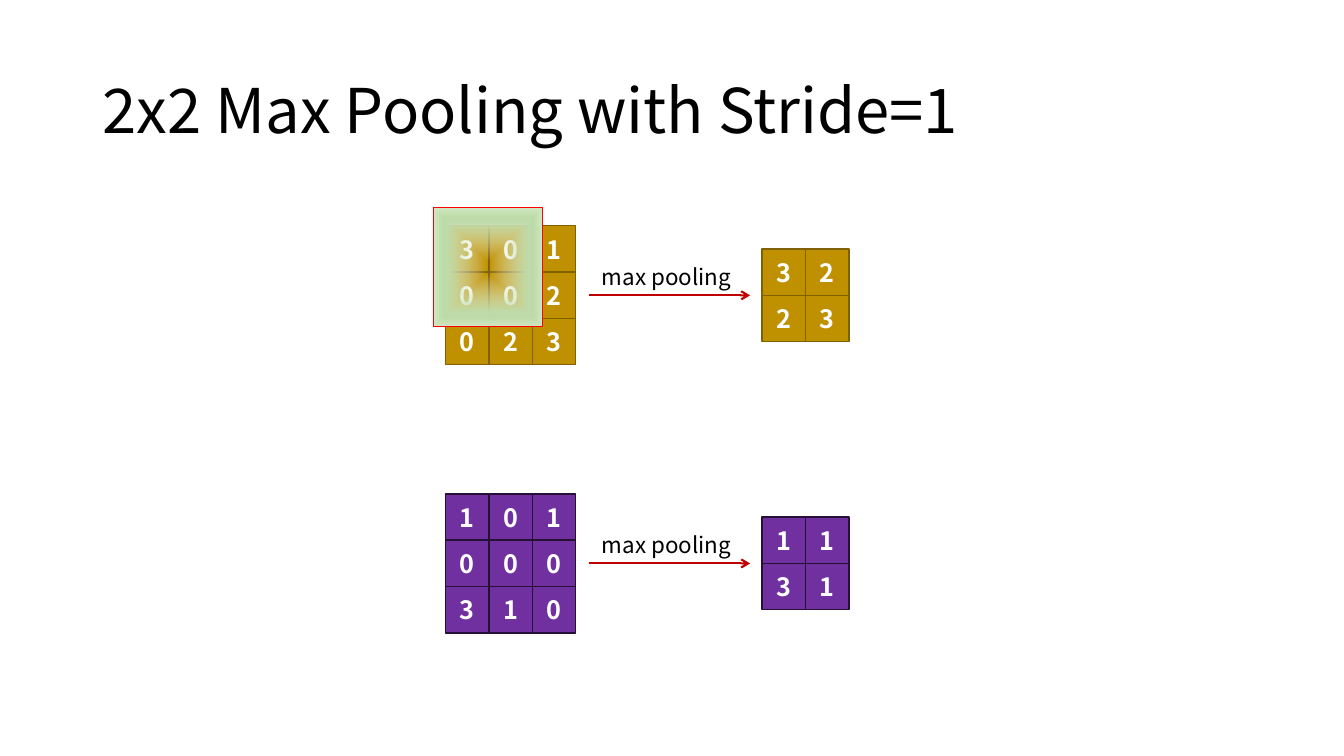
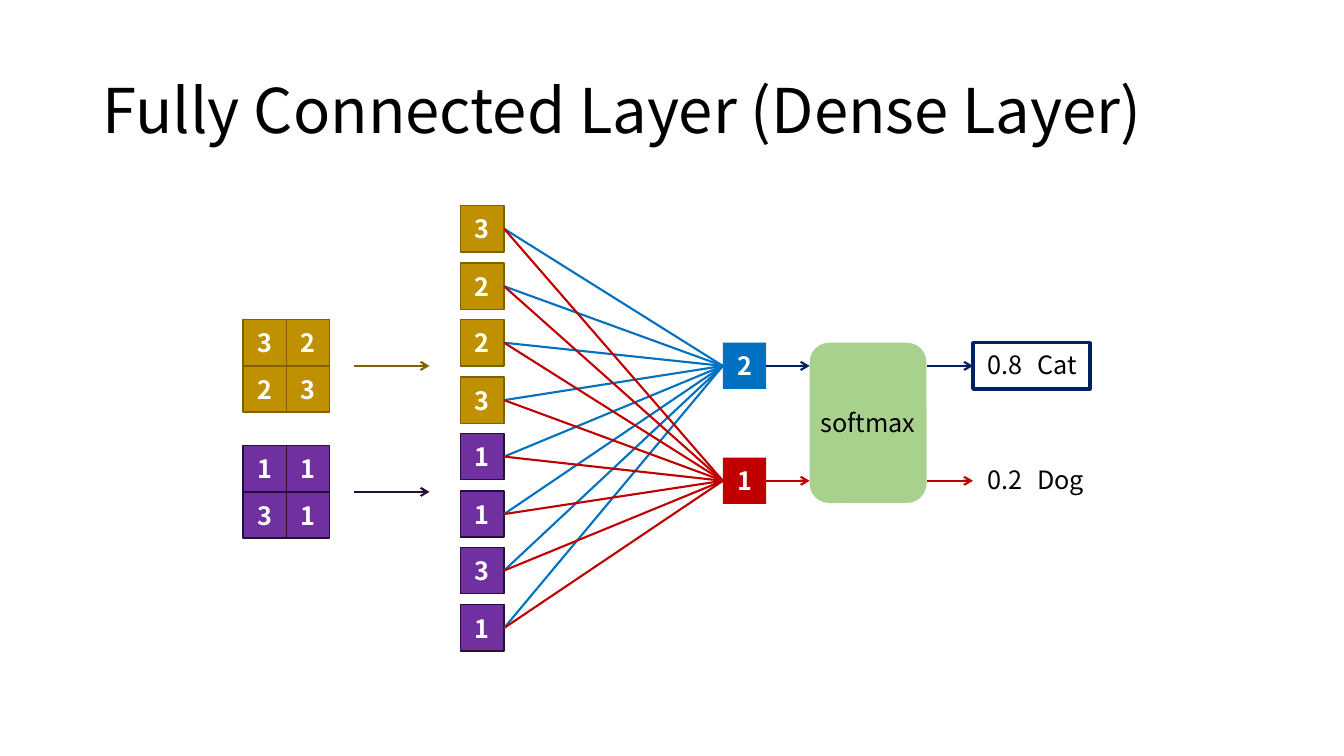
from lxml import etree
from pptx import Presentation, util as u
from pptx.dml.color import RGBColor
from pptx.enum import shapes, text
from pptx.oxml import parse_xml
from pptx.oxml.ns import qn

# Shared look: 100 px to the inch
SCALE = 9144
FONT = "Noto Sans CJK KR"
BLACK, WHITE, RED, BLUE, NAVY = "000000", "FFFFFF", "C00000", "0070C0", "002060"
GOLD = ("BF9000", "806000")
VIOLET = ("7030A0", "261036")
CELL_W, CELL_H = 43, 46
GOLD_OUT = ("32", "23")
VIOLET_OUT = ("11", "31")
RECT, ROUND = shapes.MSO_SHAPE.RECTANGLE, shapes.MSO_SHAPE.ROUNDED_RECTANGLE
LEFT, CENTER = text.PP_ALIGN.LEFT, text.PP_ALIGN.CENTER
TOP, MIDDLE = text.MSO_ANCHOR.TOP, text.MSO_ANCHOR.MIDDLE
GROW, FIXED = text.MSO_AUTO_SIZE.SHAPE_TO_FIT_TEXT, text.MSO_AUTO_SIZE.NONE
# Sides of a rectangle that a connector can hold on to
SIDE_LEFT, SIDE_RIGHT = 1, 3

# Stops of the pooling window: position, colour, opacity in percent
STOPS = ((0, "F9FCF7", 0), (74, "BEDCAA", 100), (83, "BEDCAA", 100), (100, "D4E8C6", 100))


def px(*vals):
    return [u.Emu(v * SCALE) for v in vals]


def color(code):
    return RGBColor.from_string(code)


def put(obj, **vals):
    for name, val in vals.items():
        setattr(obj, name, val)


def write(shape, words, size=18, ink=BLACK, bold=False, align=CENTER, space=None, **frame):
    put(shape.text_frame, **frame)
    para = shape.text_frame.paragraphs[0]
    put(para, alignment=align, line_spacing=space)
    run = para.add_run()
    run.text = words
    put(run.font, name=FONT, size=u.Pt(size), bold=bold)
    run.font.color.rgb = color(ink)


def label(slide, box, words, grow=True, anchor=TOP, **style):
    shape = slide.shapes.add_textbox(*px(*box))
    write(shape, words, word_wrap=True, vertical_anchor=anchor,
          auto_size=GROW if grow else FIXED, **style)


def block(slide, box, fill=None, line=None, width=1, kind=RECT):
    shape = slide.shapes.add_shape(kind, *px(*box))
    shape.shadow.inherit = False
    if fill:
        shape.fill.solid()
        shape.fill.fore_color.rgb = color(fill)
    else:
        shape.fill.background()
    if line:
        shape.line.color.rgb = color(line)
        shape.line.width = u.Pt(width)
    else:
        shape.line.fill.background()
    return shape


def cell(slide, x, y, digit, fill, line=None):
    shape = block(slide, (x, y, CELL_W, CELL_H), fill, line)
    write(shape, digit, ink=WHITE, bold=True, word_wrap=False, vertical_anchor=MIDDLE)
    return shape


def grid(slide, x, y, rows, tint):
    for r, row in enumerate(rows):
        for c, digit in enumerate(row):
            cell(slide, x + c * CELL_W, y + r * CELL_H, digit, *tint)


def stroke(slide, ends, ink):
    line = slide.shapes.add_connector(shapes.MSO_CONNECTOR.STRAIGHT, *px(*ends))
    line.line.color.rgb = color(ink)
    line.line.width = u.Pt(1.5)
    etree.SubElement(line._element.spPr, qn("a:effectLst"))
    return line


def arrow(slide, x1, x2, y, ink):
    line = stroke(slide, (x1, y, x2, y), ink)
    etree.SubElement(line.line._get_or_add_ln(), qn("a:tailEnd"), type="arrow")


def link(slide, start, end, ink):
    line = stroke(slide, (0, 0, 0, 0), ink)
    line.begin_connect(start, SIDE_RIGHT)
    line.end_connect(end, SIDE_LEFT)


def window(slide, box):
    """Pooling window that fades to clear at its centre."""
    shape = block(slide, box, line="FF0000")
    stops = "".join(
        f'<a:gs pos="{pos * 1000}"><a:srgbClr val="{code}">'
        f'<a:alpha val="{alpha * 1000}"/></a:srgbClr></a:gs>'
        for pos, code, alpha in STOPS)
    grad = parse_xml(
        '<a:gradFill xmlns:a="http://schemas.openxmlformats.org/drawingml/2006/main">'
        f'<a:gsLst>{stops}</a:gsLst><a:path path="shape">'
        '<a:fillToRect l="50000" t="50000" r="50000" b="50000"/></a:path></a:gradFill>')
    props = shape._element.spPr
    props.replace(props.find(qn("a:noFill")), grad)


def page(deck, title):
    slide = deck.slides.add_slide(deck.slide_layouts[6])
    label(slide, (92, 40, 1150, 145), title, grow=False, anchor=MIDDLE,
          size=44, align=LEFT, space=0.9)
    return slide


def pooling(deck):
    slide = page(deck, "2x2 Max Pooling with Stride=1")
    maps = ((224, ("301", "002", "023"), GOLD_OUT, GOLD),
            (490, ("101", "000", "310"), VIOLET_OUT, VIOLET))
    for y, source, pooled, tint in maps:
        mid = y + 3 * CELL_H // 2
        grid(slide, 442, y, source, tint)
        grid(slide, 756, mid - CELL_H, pooled, tint)
        arrow(slide, 584, 744, mid, RED)
        label(slide, (578, mid - 37, 166, 37), "max pooling", size=16)
    window(slide, (430, 206, 108, 118))


def dense(deck):
    slide = page(deck, "Fully Connected Layer (Dense Layer)")

    # Pooled maps, flattened into one column
    column = []
    for y, rows, tint in ((317, GOLD_OUT, GOLD), (442, VIOLET_OUT, VIOLET)):
        grid(slide, 241, y, rows, tint)
        arrow(slide, 351, 426, y + CELL_H, tint[1])
        column += [(digit, tint) for digit in "".join(rows)]
    inputs = [cell(slide, 457, 204 + round(i * 396 / 7), digit, *tint)
              for i, (digit, tint) in enumerate(column)]

    # Neurons, softmax and class scores
    block_x, block_w, score_x = 803, 116, 965
    softmax = block(slide, (block_x, 340, block_w, 159), "A9D18E", kind=ROUND)
    write(softmax, "softmax", word_wrap=False, vertical_anchor=MIDDLE)
    outputs = ((340, "2", BLUE, NAVY, "0.8", "Cat"),
               (454, "1", RED, RED, "0.2", "Dog"))
    for y, digit, ink, tip, score, name in outputs:
        neuron = cell(slide, 717, y, digit, ink)
        for start in inputs:
            link(slide, start, neuron, ink)
        mid = y + CELL_H // 2
        arrow(slide, 717 + CELL_W, block_x, mid, tip)
        arrow(slide, block_x + block_w, score_x, mid, tip)
        label(slide, (970, y + 2, 77, 40), score, align=LEFT)
        label(slide, (1019, y + 2, 73, 40), name, align=LEFT)
    block(slide, (score_x, 340, 116, CELL_H), line=NAVY, width=2.5)


def main():
    deck = Presentation()
    wide, high = px(1333, 750)
    put(deck, slide_width=wide, slide_height=high)
    pooling(deck)
    dense(deck)
    deck.save("out.pptx")


if __name__ == "__main__":
    main()
